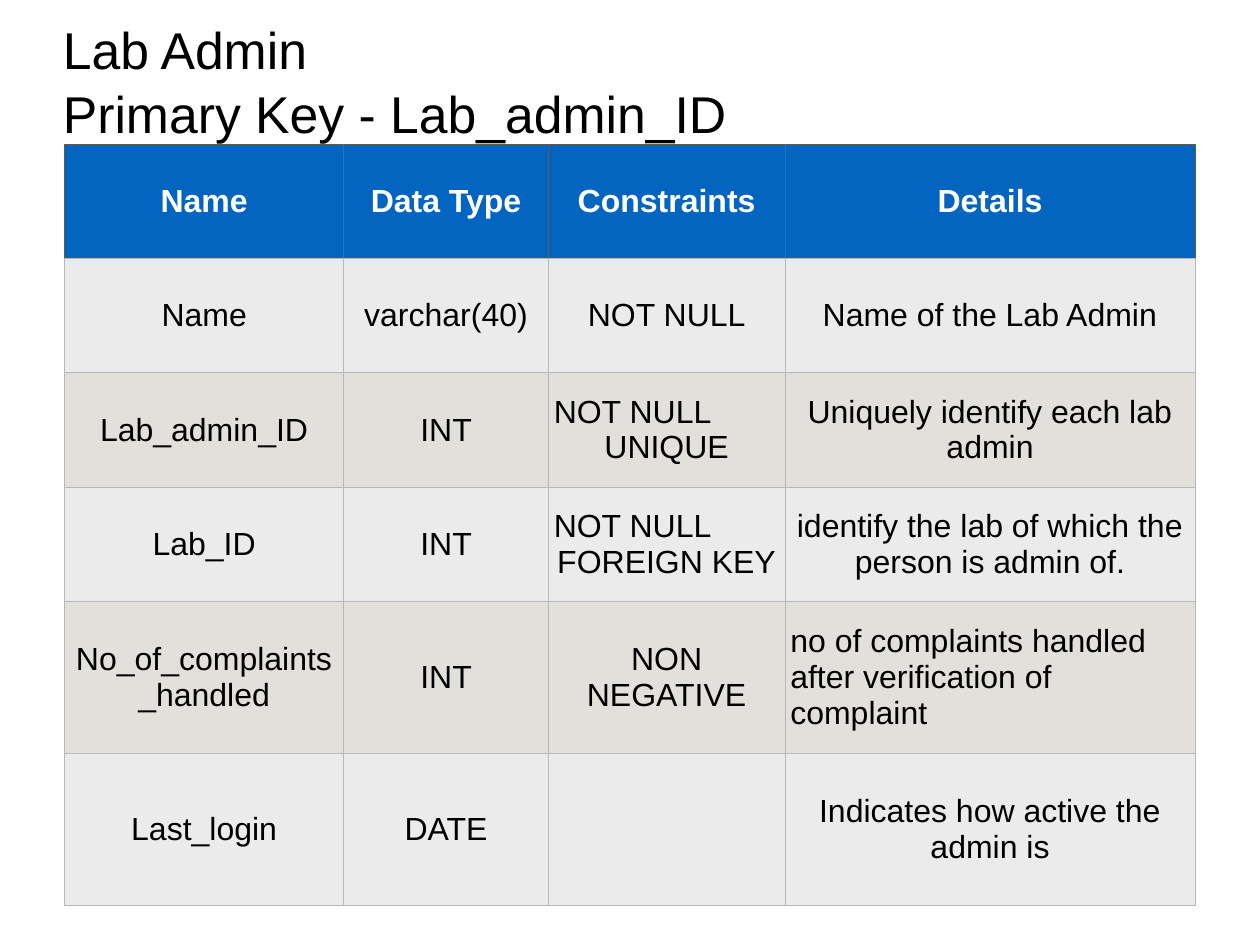
from lxml.etree import SubElement
from pptx import Presentation
from pptx.dml.color import RGBColor
from pptx.enum.text import MSO_ANCHOR, PP_ALIGN
from pptx.oxml.ns import qn
from pptx.util import Inches, Pt

# Content: a cell with several lines is a tuple
TITLE = ("Lab Admin", "Primary Key - Lab_admin_ID")
ROWS = [
    ("Name", "Data Type", "Constraints", "Details"),
    ("Name", "varchar(40)", "NOT NULL", "Name of the Lab Admin"),
    ("Lab_admin_ID", "INT", ("NOT NULL", "UNIQUE"),
     "Uniquely identify each lab admin"),
    ("Lab_ID", "INT", ("NOT NULL", "FOREIGN KEY"),
     "identify the lab of which the person is admin of."),
    ("No_of_complaints_handled", "INT", "NON NEGATIVE",
     "no of complaints handled after verification of complaint"),
    ("Last_login", "DATE", "", "Indicates how active the admin is"),
]
LEFT_CELL = (4, 3)
WIDTHS = (3.15, 2.31, 2.67, 4.63)
HEIGHTS = (1.29, 1.29, 1.29, 1.29, 1.72, 1.72)

# Colours
BLACK = RGBColor(0x00, 0x00, 0x00)
WHITE = RGBColor(0xFF, 0xFF, 0xFF)
BLUE = RGBColor(0x03, 0x65, 0xC0)
LIGHT = RGBColor(0xEB, 0xEB, 0xEB)
BEIGE = RGBColor(0xE1, 0xE0, 0xDA)
GREY = RGBColor(0xB8, 0xB8, 0xB8)
DARK = RGBColor(0x5B, 0x5B, 0x5B)
SKY = RGBColor(0x1F, 0x74, 0xC6)
HEAD_EDGES = (DARK, SKY, DARK, SKY, DARK)


def write(frame, lines, size=26, color=BLACK, bold=False,
          aligns=(PP_ALIGN.CENTER,), before=0):
    """Fill a text frame, one paragraph per line; aligns repeat in turn."""
    for i, line in enumerate(lines):
        para = frame.add_paragraph() if i else frame.paragraphs[0]
        para.alignment = aligns[i % len(aligns)]
        para.space_before = Pt(before if i else 0)
        run = para.add_run()
        run.text = line
        font = run.font
        font.name, font.size, font.bold = "Arial", Pt(size), bold
        font.color.rgb = color


def border(cell, colors):
    """Draw thin cell edges, in the order left, right, top, bottom."""
    props = cell._tc.get_or_add_tcPr()
    for i, (tag, color) in enumerate(zip(("lnL", "lnR", "lnT", "lnB"), colors)):
        line = props.makeelement(qn(f"a:{tag}"), {"w": str(Pt(0.75))})
        fill = SubElement(line, qn("a:solidFill"))
        SubElement(fill, qn("a:srgbClr"), val=str(color))
        props.insert(i, line)


def main():
    deck = Presentation()
    deck.slide_width, deck.slide_height = Inches(14.22), Inches(10.67)
    slide = deck.slides.add_slide(deck.slide_layouts[6])

    # Title
    box = slide.shapes.add_textbox(
        Inches(0.71), Inches(0.2), Inches(12.8), Inches(1.4))
    frame = box.text_frame
    frame.word_wrap = True
    frame.margin_left = frame.margin_right = 0
    frame.margin_top = frame.margin_bottom = 0
    write(frame, TITLE, size=42, aligns=(PP_ALIGN.LEFT,), before=2)

    # Table
    table = slide.shapes.add_table(
        len(ROWS), len(WIDTHS), Inches(0.73), Inches(1.63),
        Inches(sum(WIDTHS)), Inches(sum(HEIGHTS))).table
    for col, width in zip(table.columns, WIDTHS):
        col.width = Inches(width)
    for row, height in zip(table.rows, HEIGHTS):
        row.height = Inches(height)

    # Cells
    for r, texts in enumerate(ROWS):
        head = r == 0
        for c, text in enumerate(texts):
            cell = table.cell(r, c)
            cell.vertical_anchor = MSO_ANCHOR.MIDDLE
            cell.margin_left = cell.margin_right = Inches(0.06)
            cell.margin_top = cell.margin_bottom = Inches(0.06)
            cell.fill.solid()
            cell.fill.fore_color.rgb = BLUE if head else (BEIGE, LIGHT)[r % 2]
            sides = HEAD_EDGES[c:c + 2] if head else (GREY, GREY)
            border(cell, (*sides, DARK if head else GREY, GREY))
            if not text:
                continue
            pair = isinstance(text, tuple)
            aligns = (PP_ALIGN.CENTER,)
            if pair:
                aligns = (PP_ALIGN.LEFT, PP_ALIGN.CENTER)
            elif (r, c) == LEFT_CELL:
                aligns = (PP_ALIGN.LEFT,)
            write(cell.text_frame, text if pair else (text,), bold=head,
                  color=WHITE if head else BLACK, aligns=aligns)

    deck.save("out.pptx")


if __name__ == "__main__":
    main()
